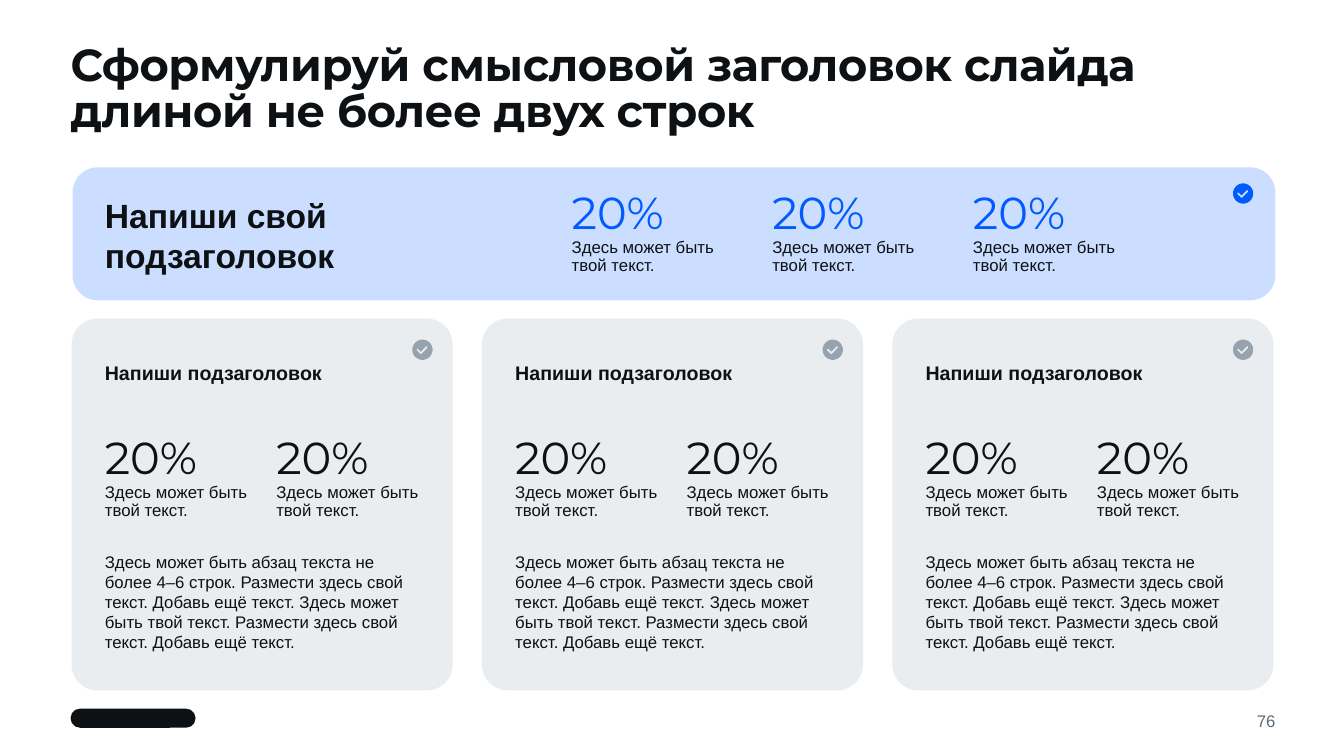
from dataclasses import dataclass
from math import cos, pi, sin
from typing import Optional

from lxml import etree
from pptx import Presentation
from pptx import util as u
from pptx.dml.color import RGBColor
from pptx.enum import shapes, text
from pptx.oxml import ns

PX = 9144


@dataclass(frozen=True)
class Style:
    size: int
    font: str = "Arial"
    color: str = "0E1114"
    bold: bool = False
    line: float = 1.0
    after: int = 0


@dataclass(frozen=True)
class Theme:
    ink: str = "0E1114"
    blue: str = "005AFF"
    pale: str = "CCDEFF"
    gray: str = "EAEDEF"
    mark: str = "96A3AE"
    title: Style = Style(32, "Montserrat", bold=True, line=0.85)
    lead: Style = Style(24, bold=True)
    head: Style = Style(14, bold=True, after=8)
    figure: Style = Style(32, "Montserrat")
    accent: Style = Style(32, "Montserrat", "005AFF")
    note: Style = Style(12, line=0.9, after=6)
    body: Style = Style(12, after=8)
    page: Style = Style(12, color="5A6C7D")


@dataclass(frozen=True)
class Box:
    x: int
    y: int
    w: int
    h: int

    def emu(self) -> list:
        return [u.Emu(n * PX) for n in (self.x, self.y, self.w, self.h)]


@dataclass(frozen=True)
class Stat:
    x: int
    y: int
    style: Style
    tall: int
    figure: str = "20%"
    note: str = "Здесь может быть твой текст."


@dataclass(frozen=True)
class Card:
    x: int
    head: str = "Напиши подзаголовок"
    body: str = ("Здесь может быть абзац текста не более 4–6 строк. Размести здесь "
                 "свой текст. Добавь ещё текст. Здесь может быть твой текст. "
                 "Размести здесь свой текст. Добавь ещё текст.")


THEME = Theme()
FRAME = {
    "word_wrap": True, "auto_size": text.MSO_AUTO_SIZE.NONE,
    "margin_left": 0, "margin_top": 0, "margin_right": 0, "margin_bottom": 0,
}
TICK = [(150, 82), (92, 141), (78, 141), (42, 105), (42, 91), (56, 91),
        (85, 119), (135, 68), (150, 68)]


def apply(item: object, values: dict) -> None:
    for name, value in values.items():
        setattr(item, name, value)


def write(shape, words: str, style: Style, align=text.PP_ALIGN.LEFT,
          anchor=text.MSO_ANCHOR.TOP) -> None:
    frame = shape.text_frame
    apply(frame, FRAME | {"vertical_anchor": anchor})
    para = frame.paragraphs[0]
    apply(para, {
        "alignment": align, "line_spacing": style.line,
        "space_before": u.Pt(0), "space_after": u.Pt(style.after),
    })
    run = para.add_run()
    run.text = words
    apply(run.font, {"name": style.font, "size": u.Pt(style.size), "bold": style.bold})
    run.font.color.rgb = RGBColor.from_string(style.color)


def label(slide, box: Box, words: str, style: Style, **where) -> None:
    write(slide.shapes.add_textbox(*box.emu()), words, style, **where)


def hold(shape, box: Box, words: str, style: Style) -> None:
    apply(shape, dict(zip(("left", "top", "width", "height"), box.emu())))
    write(shape, words, style)


def paint(shape, color: str) -> None:
    shape.shadow.inherit = False
    shape.fill.solid()
    shape.fill.fore_color.rgb = RGBColor.from_string(color)
    shape.line.fill.background()


def panel(slide, box: Box, curve: float, color: str) -> None:
    shape = slide.shapes.add_shape(shapes.MSO_SHAPE.ROUNDED_RECTANGLE, *box.emu())
    shape.adjustments[0] = curve
    paint(shape, color)


def badge(slide, x: int, y: int, color: str) -> None:
    ring = [(round(100 + 100 * cos(k * pi / 32)), round(100 + 100 * sin(k * pi / 32)))
            for k in range(64)]
    pen = slide.shapes.build_freeform(*ring[0], scale=PX / 10)
    pen.add_line_segments(ring[1:], close=True)
    pen.move_to(*TICK[0])
    pen.add_line_segments(TICK[1:], close=True)
    paint(pen.convert_to_shape(x * PX, y * PX), color)


def draw_stat(slide, stat: Stat) -> None:
    label(slide, Box(stat.x, stat.y, 165, 63), stat.figure, stat.style)
    label(slide, Box(stat.x, stat.y + 54, 165, stat.tall), stat.note, THEME.note)


def draw_card(slide, card: Card) -> None:
    left = card.x + 33
    panel(slide, Box(card.x, 316, 378, 369), 0.07, THEME.gray)
    label(slide, Box(left, 547, 305, 103), card.body, THEME.body)
    label(slide, Box(left, 358, 313, 34), card.head, THEME.head)
    for col in range(2):
        draw_stat(slide, Stat(left + 170 * col, 426, THEME.figure, 63))
    badge(slide, card.x + 338, 337, THEME.mark)


def draw_top(slide) -> None:
    panel(slide, Box(72, 166, 1193, 132), 0.19, THEME.pale)
    for col in range(3):
        draw_stat(slide, Stat(567 + 199 * col, 183, THEME.accent, 44))
    badge(slide, 1223, 182, THEME.blue)


def main() -> None:
    deck = Presentation()
    apply(deck, {"slide_width": u.Emu(1333 * PX), "slide_height": u.Emu(750 * PX)})
    slide = deck.slides.add_slide(deck.slide_layouts[1])
    title, lead = slide.placeholders
    hold(title, Box(70, 45, 1193, 75),
         "Сформулируй смысловой заголовок слайда длиной не более двух строк", THEME.title)
    title.text_frame.paragraphs[0].runs[0].font._element.set("spc", "-30")

    props = lead.text_frame.paragraphs[0]._p.get_or_add_pPr()
    for name in ("marL", "indent"):
        props.set(name, "0")
    etree.SubElement(props, ns.qn("a:buNone"))
    hold(lead, Box(104, 193, 326, 78), "Напиши свой подзаголовок", THEME.lead)

    draw_top(slide)
    tree = slide.shapes._spTree
    tree.remove(lead._element)
    tree.append(lead._element)
    for col in range(3):
        draw_card(slide, Card(71 + 407 * col))

    panel(slide, Box(70, 703, 124, 19), 0.5, THEME.ink)
    label(slide, Box(1166, 703, 99, 24), "76", THEME.page,
          align=text.PP_ALIGN.RIGHT, anchor=text.MSO_ANCHOR.MIDDLE)
    deck.save("out.pptx")


if __name__ == "__main__":
    main()
